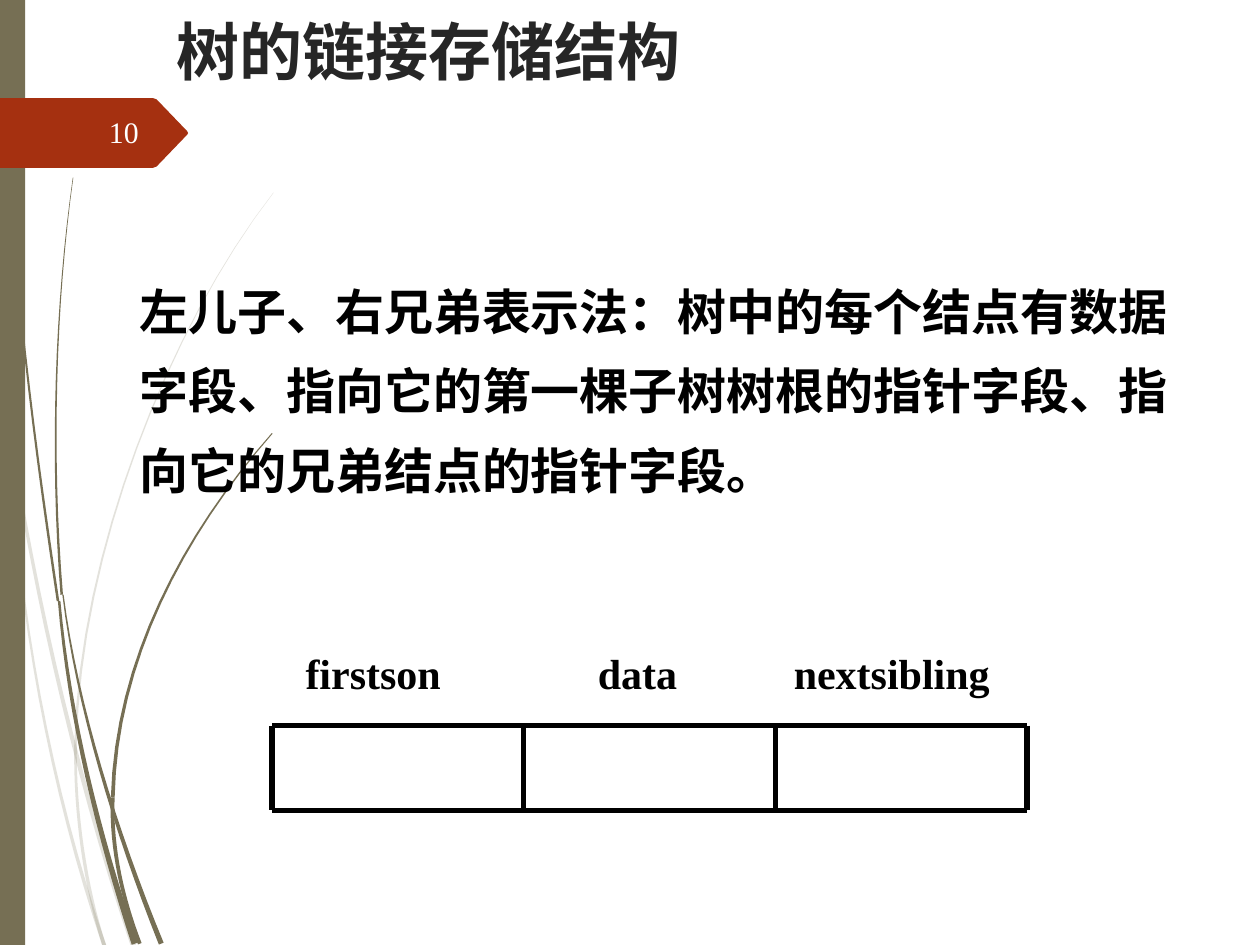
from dataclasses import dataclass
from math import hypot

from lxml import etree
from pptx import Presentation
from pptx.dml.color import RGBColor
from pptx.enum.shapes import MSO_CONNECTOR, MSO_SHAPE
from pptx.enum.text import MSO_ANCHOR, PP_ALIGN
from pptx.oxml.ns import qn
from pptx.util import Pt

LINE = MSO_CONNECTOR.STRAIGHT
RECT = MSO_SHAPE.RECTANGLE
TOP, MIDDLE = MSO_ANCHOR.TOP, MSO_ANCHOR.MIDDLE
LEFT, RIGHT = PP_ALIGN.LEFT, PP_ALIGN.RIGHT


@dataclass(frozen=True)
class Theme:
    olive: str = "766F54"
    rust: str = "A53010"
    ink: str = "000000"
    head: str = "262626"
    pale: str = "FEFFFF"
    title: int = 36
    body: int = 28
    label: int = 24
    page: int = 17
    serif: str = "Times New Roman"
    sans: str = "Arial"
    round: str = "TeX Gyre Adventor"


THEME = Theme()
UNIT = 0.72
STEPS = 16

PALE_STEMS = (
    ((0, 290), (22, 450), (58, 610), (106, 751), 2, 4),
    ((8, 350), (14, 485), (40, 625), (83, 751), 1, 3),
    ((217, 153), (134, 260), (63, 440), (60, 590), 0.2, 2),
    ((60, 590), (59, 645), (68, 705), (83, 751), 2, 3),
)
DARK_STEMS = (
    ((2.5, 0), (4, 175), (24, 330), (46, 477), 1, 2),
    ((50, 472), (61, 560), (92, 660), (128, 749), 1, 4),
    ((47, 477), (55, 570), (79, 665), (107, 749), 2, 5),
    ((58, 141), (44, 240), (40, 360), (49, 472), 0.4, 2),
    ((216, 344), (145, 425), (92, 525), (89.5, 633), 0.8, 3),
    ((89.5, 633), (88, 675), (98, 715), (111, 749), 3, 3),
)


def paint(shape, color, alpha=None):
    shape.shadow.inherit = False
    shape.fill.solid()
    shape.fill.fore_color.rgb = RGBColor.from_string(color)
    if alpha:
        tint = shape._element.xpath(".//a:srgbClr")[0]
        etree.SubElement(tint, qn("a:alpha")).set("val", str(alpha * 1000))
    shape.line.fill.background()


def outline(shapes, box, dots):
    spots = [(Pt(box[0] + x), Pt(box[1] + y)) for x, y in dots]
    pen = shapes.build_freeform(*spots[0], scale=1.0)
    pen.add_line_segments(spots[1:], close=True)
    return pen.convert_to_shape()


def blend(parts, points):
    return [sum(f * p[a] for f, p in zip(parts, points)) for a in (0, 1)]


def blade(stem):
    *knots, thin, thick = stem
    sides = [[(b[a] - c[a]) for a in (0, 1)] for c, b in zip(knots, knots[1:])]
    near, far = [], []
    for k in range(STEPS + 1):
        t = k / STEPS
        s = 1 - t
        x, y = blend((s ** 3, 3 * s * s * t, 3 * s * t * t, t ** 3), knots)
        dx, dy = blend((s * s, 2 * s * t, t * t), sides)
        half = (thin * s + thick * t) / 2 / hypot(dx, dy)
        near.append(((x - dy * half) * UNIT, (y + dx * half) * UNIT))
        far.append(((x + dy * half) * UNIT, (y - dx * half) * UNIT))
    return near + far[::-1]


def grass(slide, box, stems, alpha=None):
    group = slide.shapes.add_group_shape()
    for stem in stems:
        paint(outline(group.shapes, box, blade(stem)), THEME.olive, alpha)


def write(shapes, box, text, font, size, color, bold=True, anchor=TOP):
    frame = shapes.add_textbox(*map(Pt, box)).text_frame
    frame.word_wrap = True
    frame.vertical_anchor = anchor
    para = frame.paragraphs[0]
    para.text = text
    para.alignment = LEFT
    para.font.name = font
    para.font.size = Pt(size)
    para.font.bold = bold
    para.font.color.rgb = RGBColor.from_string(color)
    return para


def edge(slide, box):
    paint(slide.shapes.add_shape(RECT, *map(Pt, box)), THEME.olive)


def badge(slide, box):
    x, y, w, h = box
    neck, mid = w - 18, h / 2
    dots = ((0, 0), (neck - 2, 0), (neck, 0.7), (w - 0.5, mid - 1), (w, mid),
            (w - 0.5, mid + 1), (neck, h - 0.7), (neck - 2, h), (0, h))
    paint(outline(slide.shapes, box, dots), THEME.rust)
    para = write(slide.shapes, (x + 40.3, y + 5.8, 46, 28.8), "10",
                 THEME.serif, THEME.page, THEME.pale, False, MIDDLE)
    para.alignment = RIGHT
    para.line_spacing = 0.9


def title(slide, box):
    write(slide.shapes, box, "树的链接存储结构", THEME.round, THEME.title, THEME.head)


def body(slide, box):
    para = write(slide.shapes, box,
                 "左儿子、右兄弟表示法：树中的每个结点有数据字段、"
                 "指向它的第一棵子树树根的指针字段、指向它的兄弟结点的指针字段。",
                 THEME.sans, THEME.body, THEME.ink)
    para.line_spacing = 1.35
    props = para._p.get_or_add_pPr()
    props.set("marL", str(Pt(36)))
    props.set("indent", "0")


def node(slide, box):
    x, y, w, h = box
    top, step = y + 48.2, w / 3
    base = y + h
    group = slide.shapes.add_group_shape()
    rows = [(a, b, v, v) for v in (top, base) for a, b in ((0, 2), (2, 3))]
    for a, b, head, tail in rows + [(i, i, top, base) for i in range(4)]:
        line = group.shapes.add_connector(
            LINE, Pt(x + a * step), Pt(head), Pt(x + b * step), Pt(tail))
        line.line.width = Pt(3)
        line.line.color.rgb = RGBColor.from_string(THEME.ink)
        etree.SubElement(line._element.spPr, qn("a:effectLst"))
    para = write(group.shapes, (x, y, w, 36), "\tfirstson\tdata\tnextsibling",
                 THEME.serif, THEME.label, THEME.ink)
    tabs = etree.Element(qn("a:tabLst"))
    for stop in (12, 179, 291):
        etree.SubElement(tabs, qn("a:tab"), pos=str(Pt(stop)), algn="l")
    props = para._p.get_or_add_pPr()
    props.insert(0, tabs)


def main():
    deck = Presentation()
    deck.slide_width, deck.slide_height = Pt(720), Pt(540)
    slide = deck.slides.add_slide(deck.slide_layouts[6])
    grass(slide, (0, 0), PALE_STEMS, 20)
    grass(slide, (0, 0), DARK_STEMS)
    edge(slide, (0, 0, 14.4, 540))
    badge(slide, (0, 56.1, 107.5, 39.8))
    title(slide, (93.6, 3.6, 543.6, 53.3))
    body(slide, (36.7, 145.4, 652.3, 143.3))
    node(slide, (155.5, 366.5, 431.4, 96.5))
    deck.save("out.pptx")


if __name__ == "__main__":
    main()
